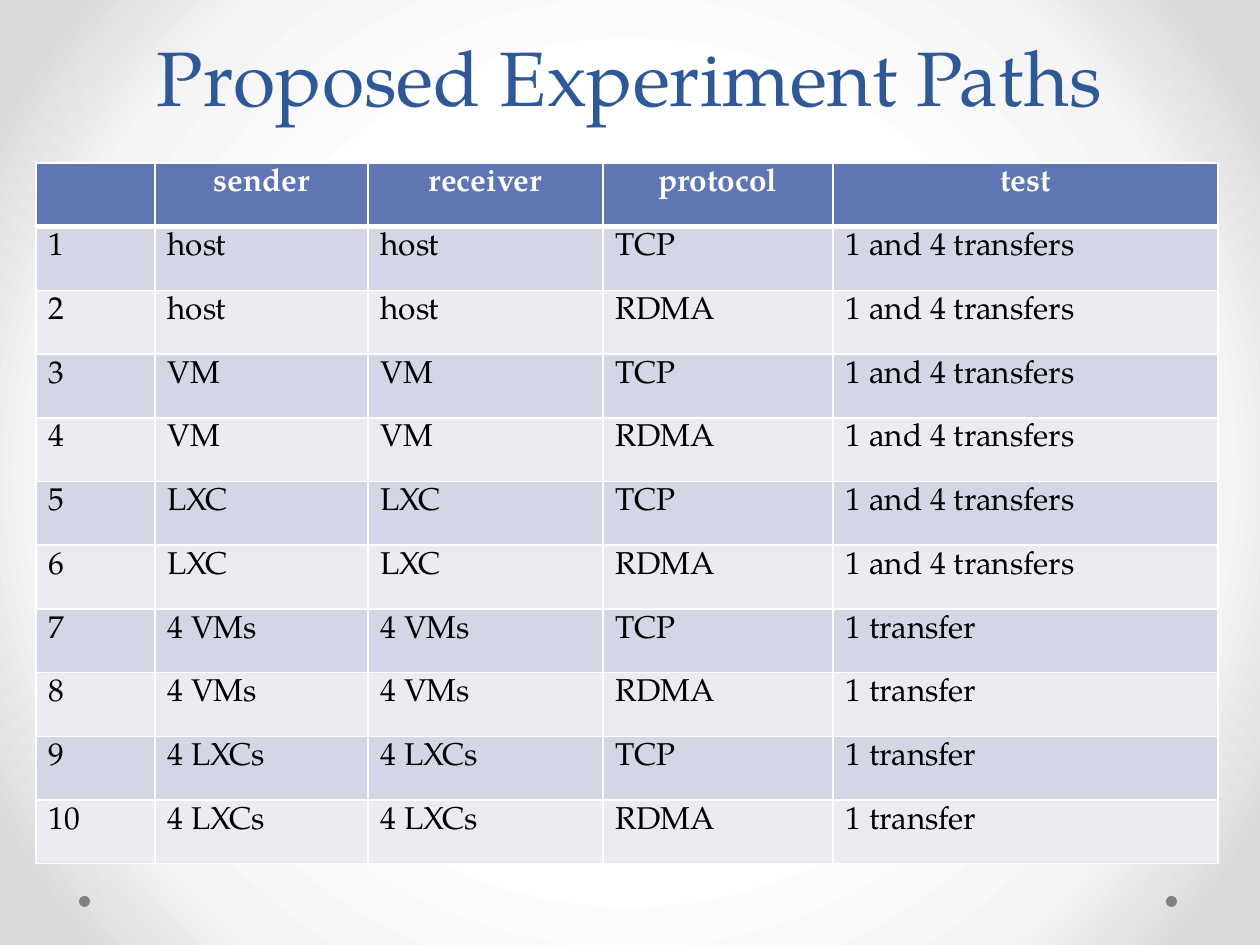
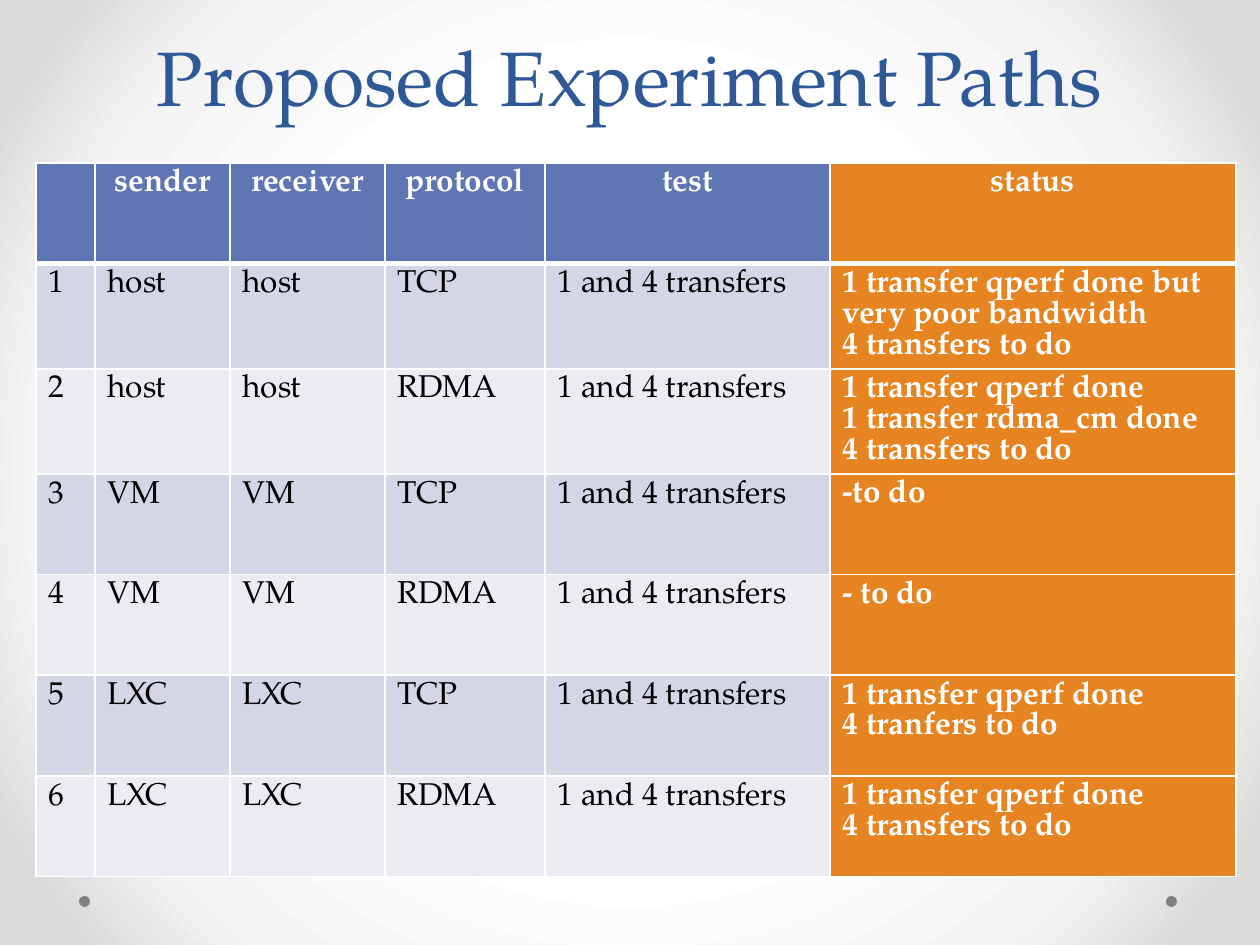
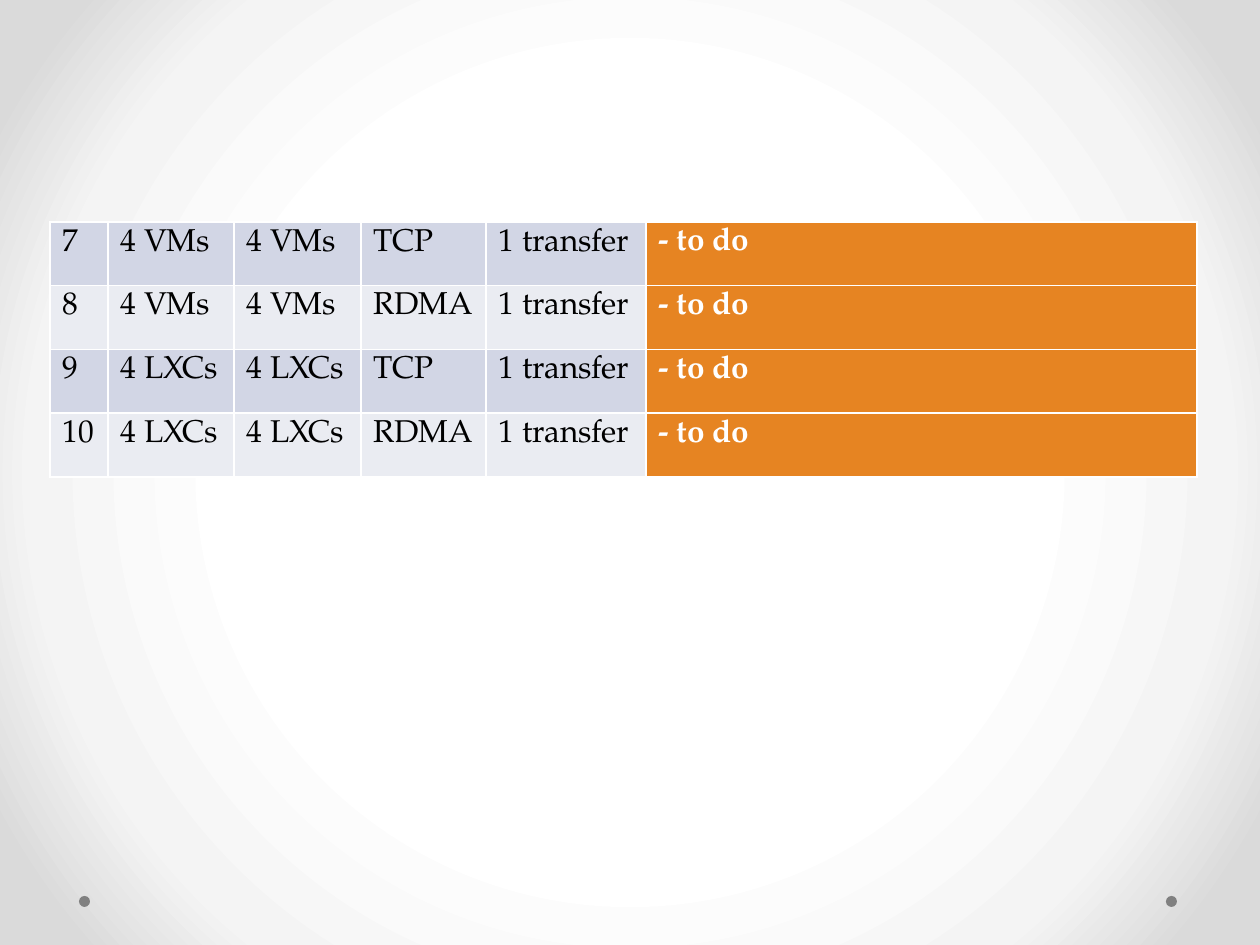
"""Build three slides that list the experiment paths and their status."""
import lxml.etree
import pptx
import pptx.dml.color
import pptx.enum.shapes
import pptx.enum.text
import pptx.oxml
import pptx.oxml.ns
import pptx.util

PIXEL = pptx.util.Inches(1) / 126
FONT = "TeX Gyre Pagella"
RGB = pptx.dml.color.RGBColor
WHITE = RGB(0xFF, 0xFF, 0xFF)
BLACK = RGB(0, 0, 0)
GREY = RGB(0x80, 0x80, 0x80)
TITLE_BLUE = RGB(0x2F, 0x58, 0x97)
HEADER_BLUE = RGB(0x60, 0x76, 0xB4)
ORANGE = RGB(0xE6, 0x84, 0x22)
BANDS = (RGB(0xD2, 0xD6, 0xE5), RGB(0xEA, 0xEC, 0xF2))
BACKDROP = ((50, WHITE), (76, RGB(0xF4, 0xF4, 0xF4)), (92, RGB(0xDA, 0xDA, 0xDA)))

TITLE = "Proposed Experiment Paths"
TITLE_AREA = (63, 18, 1134, 110)
DOTS = ((1166, 896, 11, 11), (79, 896, 11, 11))
STATUS_LINE = pptx.util.Pt(17.6)

HEADER = ("", "sender", "receiver", "protocol", "test")
ENDPOINTS = ("host", "VM", "LXC", "4 VMs", "4 LXCs")
PROTOCOLS = ("TCP", "RDMA")
STATUS = (
    "1 transfer qperf done but very poor bandwidth\n4 transfers to do",
    "1 transfer qperf done\n1 transfer rdma_cm done\n4 transfers to do",
    "-to do",
    "- to do",
    "1 transfer qperf done\n4 tranfers to do",
    "1 transfer qperf done\n4 transfers to do",
    "- to do", "- to do", "- to do", "- to do",
)
PAIRS = [(end, protocol) for end in ENDPOINTS for protocol in PROTOCOLS]
PATHS = [
    (str(number), end, end, protocol,
     "1 transfer" if end.startswith("4") else "1 and 4 transfers")
    for number, (end, protocol) in enumerate(PAIRS, 1)
]
TRACKED = [row + (status,) for row, status in zip(PATHS, STATUS)]

PAGES = (
    {"title": TITLE, "header": HEADER, "rows": PATHS,
     "corner": (36, 163), "height": 701, "columns": (119, 213, 235, 230, 385)},
    {"title": TITLE, "header": HEADER + ("status",), "rows": TRACKED[:6],
     "corner": (36, 163), "height": 705, "columns": (59, 135, 155, 160, 285, 406)},
    {"title": None, "header": None, "rows": TRACKED[6:],
     "corner": (50, 222), "height": 255, "columns": (58, 126, 127, 125, 160, 551)},
)


def emu(*pixels):
    return [round(pixel * PIXEL) for pixel in pixels]


def apply(target, values):
    for name, value in values.items():
        setattr(target, name, value)


def write(frame, text, color, size, bold=False, **layout):
    for index, line in enumerate(text.split("\n")):
        para = frame.add_paragraph() if index else frame.paragraphs[0]
        apply(para, layout)
        if line:
            span = para.add_run()
            span.text = line
            apply(span.font, {"name": FONT, "size": pptx.util.Pt(size), "bold": bold})
            span.font.color.rgb = color


def paint_backdrop(master):
    fill = master.background.fill
    fill.gradient()
    gradient = master.element.find(".//" + pptx.oxml.ns.qn("a:gradFill"))
    stops = "".join(
        f'<a:gs pos="{place * 1000}"><a:srgbClr val="{color}"/></a:gs>'
        for place, color in BACKDROP
    )
    gradient.getparent().replace(gradient, pptx.oxml.parse_xml(
        f'<a:gradFill {pptx.oxml.ns.nsdecls("a")} rotWithShape="1"><a:gsLst>{stops}</a:gsLst>'
        '<a:path path="circle"><a:fillToRect l="50000" t="50000" r="50000" b="50000"/>'
        '</a:path></a:gradFill>'))


def add_dots(page):
    for area in DOTS:
        dot = page.shapes.add_shape(pptx.enum.shapes.MSO_SHAPE.OVAL, *emu(*area))
        dot.shadow.inherit = False
        dot.fill.solid()
        dot.fill.fore_color.rgb = GREY
        dot.line.fill.background()


def add_title(page, text):
    box = page.shapes.add_textbox(*emu(*TITLE_AREA))
    apply(box.text_frame, {"word_wrap": True,
                           "vertical_anchor": pptx.enum.text.MSO_ANCHOR.BOTTOM})
    write(box.text_frame, text, TITLE_BLUE, 44,
          alignment=pptx.enum.text.PP_ALIGN.CENTER, line_spacing=pptx.util.Pt(58))


def set_borders(cell, **points):
    properties = cell._tc.get_or_add_tcPr()
    for side in "LRTB":
        width = pptx.util.Pt(points.get(side, 1))
        properties.append(pptx.oxml.parse_xml(
            f'<a:ln{side} {pptx.oxml.ns.nsdecls("a")} w="{width}"><a:solidFill>'
            f'<a:srgbClr val="{WHITE}"/></a:solidFill></a:ln{side}>'))


def fill_cell(cell, text, column, band, is_header, below_header):
    is_status = column == len(HEADER)
    set_borders(cell, B=3 if is_header else 1, T=3 if below_header else 1)
    cell.fill.solid()
    cell.fill.fore_color.rgb = ORANGE if is_status else HEADER_BLUE if is_header else band
    strong = is_header or is_status
    align = pptx.enum.text.PP_ALIGN.CENTER if is_header else pptx.enum.text.PP_ALIGN.LEFT
    write(cell.text_frame, text, WHITE if strong else BLACK, 18, strong, alignment=align,
          line_spacing=STATUS_LINE if "\n" in text else None)


def add_paths_table(page, header, rows, corner, height, columns):
    lines = ([header] if header else []) + rows
    table = page.shapes.add_table(
        len(lines), len(columns), *emu(*corner, sum(columns), height)).table
    apply(table, {"first_row": bool(header), "horz_banding": False})
    for column, width in zip(table.columns, emu(*columns)):
        column.width = width
    for index, line in enumerate(lines):
        table.rows[index].height = emu(height / len(lines))[0]
        body_index = index - len(lines) + len(rows)
        for column, text in enumerate(line):
            fill_cell(table.cell(index, column), text, column, BANDS[body_index % 2],
                      body_index < 0, bool(header) and body_index == 0)


deck = pptx.Presentation()
deck.slide_width, deck.slide_height = emu(1260, 945)
paint_backdrop(deck.slide_master)
for content in PAGES:
    page = deck.slides.add_slide(deck.slide_layouts[6])
    add_dots(page)
    if content["title"]:
        add_title(page, content["title"])
    add_paths_table(page, *(content[key] for key in
                            ("header", "rows", "corner", "height", "columns")))
deck.save("out.pptx")
